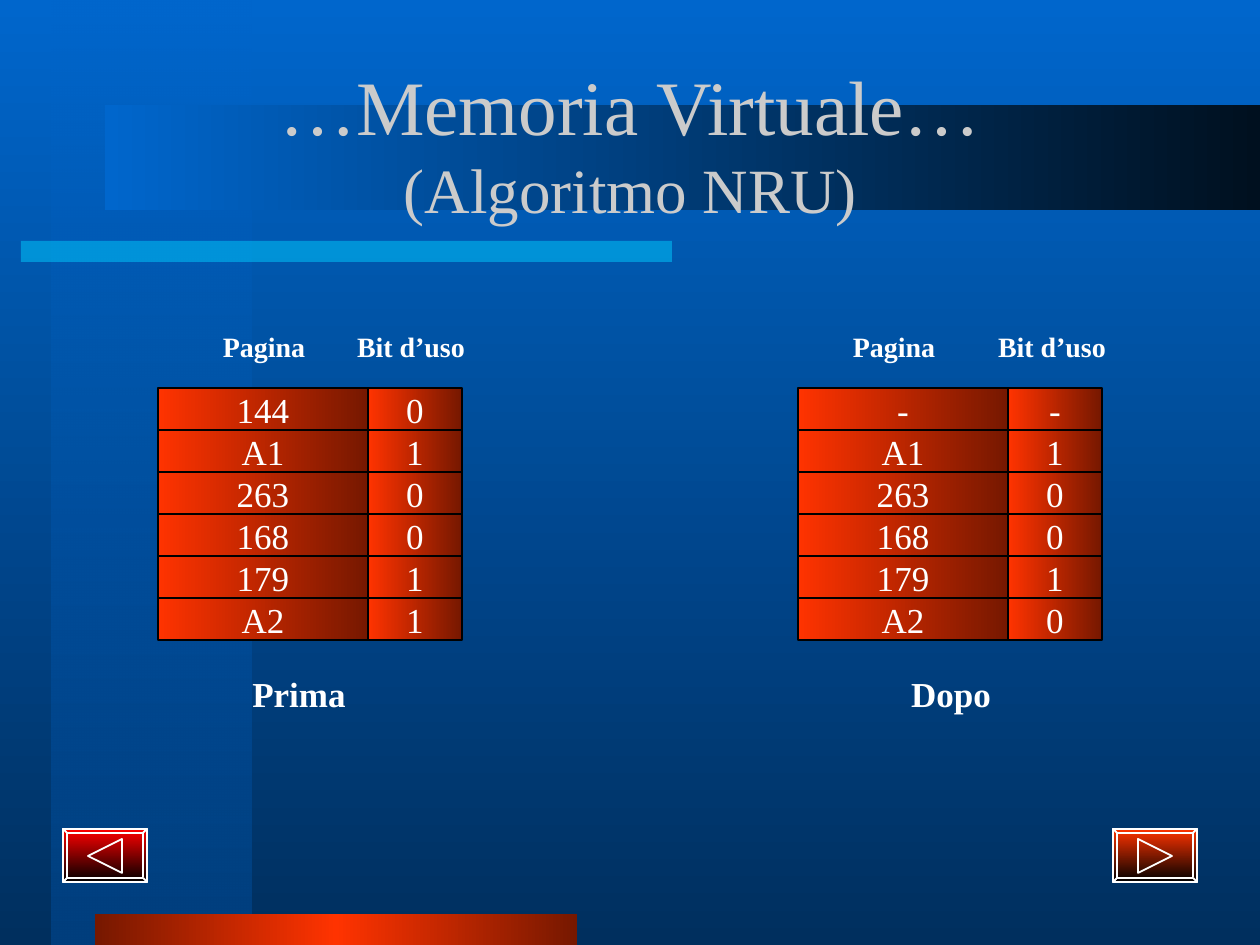
"""Build the slide comparing page use bits before and after the NRU algorithm."""
from lxml import etree
from pptx import Presentation
from pptx.dml.color import RGBColor
from pptx.enum.shapes import MSO_SHAPE
from pptx.enum.text import MSO_ANCHOR, PP_ALIGN
from pptx.oxml.ns import qn
from pptx.util import Emu, Pt

RECTANGLE = MSO_SHAPE.RECTANGLE
MIDDLE = MSO_ANCHOR.MIDDLE
CENTER = PP_ALIGN.CENTER
PX = 914400 / 126
FONT = "Times New Roman"
RIGHTWARD, DOWNWARD = 0, 270
RED, DARK_RED, WHITE = "FF3300", "761800", "FFFFFF"


def set_gradient(fill, element, angle, stops):
    fill.gradient()
    fill.gradient_angle = angle
    stop_list = next(element.iter(qn("a:gsLst")))
    for stop in list(stop_list):
        stop_list.remove(stop)
    for position, color, opacity in stops:
        stop = etree.SubElement(stop_list, qn("a:gs"), pos=str(position * 1000))
        value = etree.SubElement(stop, qn("a:srgbClr"), val=color)
        if opacity < 100:
            etree.SubElement(value, qn("a:alpha"), val=str(opacity * 1000))


def write_text(shape, lines, color=WHITE, bold=False, margin=6, wrap=False):
    frame = shape.text_frame
    frame.word_wrap = wrap
    frame.vertical_anchor = MIDDLE
    frame.margin_left = frame.margin_right = Emu(int(margin * PX))
    frame.margin_top = frame.margin_bottom = Emu(int(6 * PX))
    frame.text = "\n".join(text for text, size in lines)
    for paragraph, (text, size) in zip(frame.paragraphs, lines):
        paragraph.alignment = CENTER
        paragraph.font.name = FONT
        paragraph.font.size = Pt(size)
        paragraph.font.bold = bold
        paragraph.font.color.rgb = RGBColor.from_string(color)


presentation = Presentation()
presentation.slide_width = Emu(int(1260 * PX))
presentation.slide_height = Emu(int(945 * PX))
slide = presentation.slides.add_slide(presentation.slide_layouts[6])
shapes = slide.shapes
set_gradient(slide.background.fill, slide.element, DOWNWARD,
             [(0, "0066CC", 100), (100, "002F5E", 100)])

decorations = [
    ((52, 0, 200, 945), DOWNWARD, [(0, "0066CC", 50), (100, "003F7E", 100)]),
    ((21, 241, 651, 21), RIGHTWARD, [(0, "00CCFF", 50)]),
    ((95, 914, 482, 31), RIGHTWARD,
     [(0, DARK_RED, 100), (50, RED, 100), (100, DARK_RED, 100)]),
    ((105, 105, 1155, 105), RIGHTWARD, [(0, "0066CC", 100), (100, "00101F", 100)]),
]
for box, angle, stops in decorations:
    band = shapes.add_shape(RECTANGLE, *(Emu(int(v * PX)) for v in box))
    band.shadow.inherit = False
    band.line.fill.background()
    if len(stops) > 1:
        set_gradient(band.fill, band.element, angle, stops)
    else:
        position, color, opacity = stops[0]
        band.fill.solid()
        band.fill.fore_color.rgb = RGBColor.from_string(color)
        value = next(band.element.iter(qn("a:srgbClr")))
        etree.SubElement(value, qn("a:alpha"), val=str(opacity * 1000))

title = shapes.add_textbox(*(Emu(int(v * PX)) for v in (95, 63, 1071, 158)))
write_text(title, [("…Memoria Virtuale…", 44), ("(Algoritmo NRU)", 36)],
           color="CBCBCB", margin=13, wrap=True)

WIDTH, HEIGHT, BEVEL = 84, 53, 4
outer = [(0, 0), (WIDTH, 0), (WIDTH, HEIGHT), (0, HEIGHT)]
inner = [(BEVEL, BEVEL), (WIDTH - BEVEL, BEVEL),
         (WIDTH - BEVEL, HEIGHT - BEVEL), (BEVEL, HEIGHT - BEVEL)]
sides = [[outer[i], outer[(i + 1) % 4], inner[(i + 1) % 4], inner[i]] for i in range(4)]
back_arrow = [(25, 27), (59, 10), (59, 44)]
next_arrow = [(WIDTH - x, y) for x, y in back_arrow]
for left, arrow, color in [(63, back_arrow, "FF0000"), (1113, next_arrow, RED)]:
    contours = [[(left + x, 829 + y) for x, y in contour]
                for contour in [outer, *sides, arrow]]
    builder = shapes.build_freeform(*contours[0][0], scale=PX)
    builder.add_line_segments(contours[0][1:], close=True)
    for contour in contours[1:]:
        builder.move_to(*contour[0])
        builder.add_line_segments(contour[1:], close=True)
    button = builder.convert_to_shape()
    button.shadow.inherit = False
    set_gradient(button.fill, button.element, DOWNWARD,
                 [(0, color, 100), (100, "000000", 100)])
    button.line.color.rgb = RGBColor.from_string(WHITE)
    button.line.width = Pt(1)
    outline = next(button.element.iter(qn("a:path")))
    target = outline
    for step in list(outline)[1:]:
        if step.tag == qn("a:moveTo"):
            target = etree.SubElement(outline.getparent(), qn("a:path"), dict(outline.attrib))
        target.append(step)

before = [("144", "0"), ("A1", "1"), ("263", "0"), ("168", "0"), ("179", "1"), ("A2", "1")]
after = [("-", "-"), ("A1", "1"), ("263", "0"), ("168", "0"), ("179", "1"), ("A2", "0")]
for left, rows in [(158, before), (798, after)]:
    for row, values in enumerate(rows):
        for text, x, width in zip(values, (left, left + 210), (210, 94)):
            box = (x, 388 + 42 * row, width, 42)
            cell = shapes.add_shape(RECTANGLE, *(Emu(int(v * PX)) for v in box))
            cell.shadow.inherit = False
            set_gradient(cell.fill, cell.element, RIGHTWARD,
                         [(0, RED, 100), (100, DARK_RED, 100)])
            cell.line.color.rgb = RGBColor.from_string("000000")
            cell.line.width = Pt(1.25)
            write_text(cell, [(text, 20)])

labels = [
    ("Pagina", 185, 325, 16), ("Pagina", 815, 325, 16),
    ("Bit d’uso", 332, 325, 16), ("Bit d’uso", 973, 325, 16),
    ("Prima", 220, 672, 20), ("Dopo", 872, 672, 20),
]
for text, x, y, size in labels:
    label = shapes.add_textbox(*(Emu(int(v * PX)) for v in (x, y, 158, 42)))
    write_text(label, [(text, size)], bold=True)

presentation.save("out.pptx")
